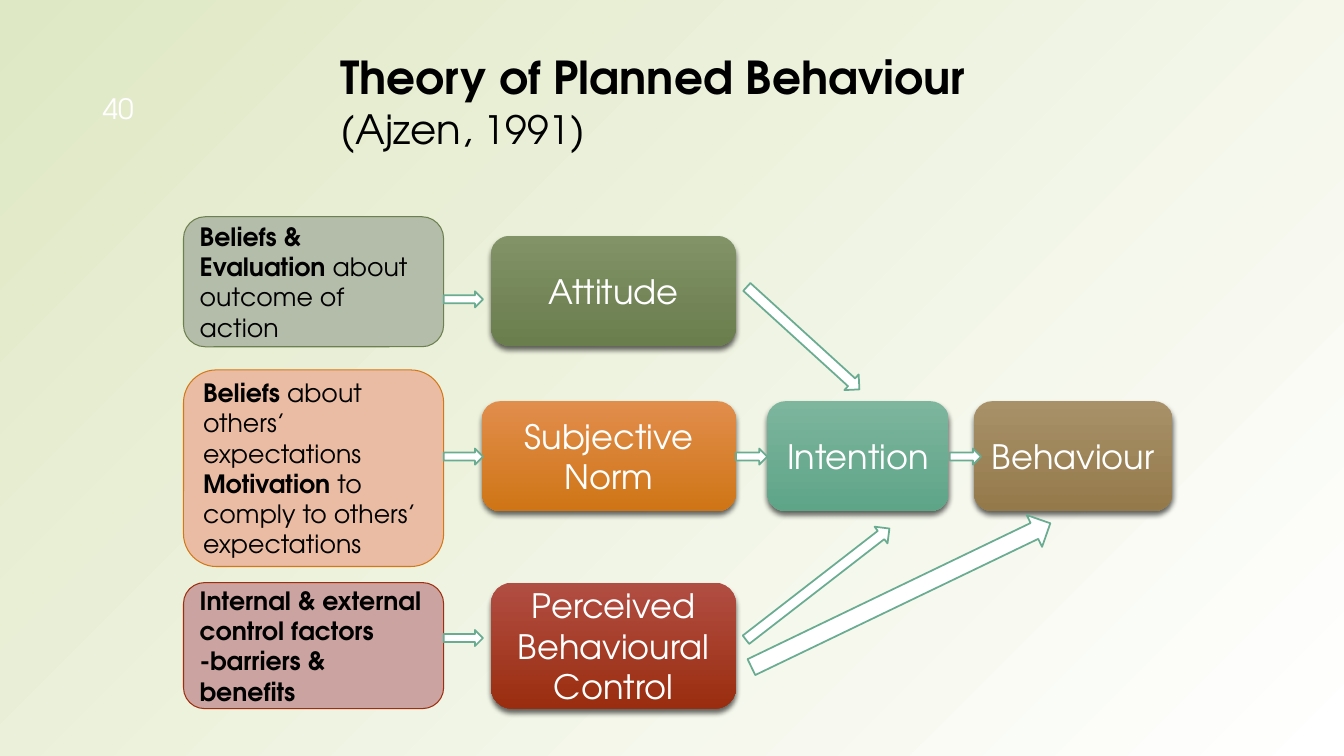
"""Draws the Theory of Planned Behaviour slide."""
from lxml import etree
from pptx import Presentation
from pptx.dml.color import RGBColor
from pptx.enum.shapes import MSO_SHAPE
from pptx.enum.text import MSO_ANCHOR, PP_ALIGN
from pptx.oxml import parse_xml
from pptx.util import Inches, Pt

ROUND = MSO_SHAPE.ROUNDED_RECTANGLE
ARROW = MSO_SHAPE.RIGHT_ARROW
MIDDLE = MSO_ANCHOR.MIDDLE
LEFT = PP_ALIGN.LEFT
CENTER = PP_ALIGN.CENTER
NS = "http://schemas.openxmlformats.org/drawingml/2006/main"


def color(text):
    return RGBColor.from_string(text)


class Board:
    font = "TeX Gyre Adventor"
    ink = "000000"
    pale = "FFFFFF"
    edge = "6AAC91"

    def __init__(self, slide):
        self.slide = slide

    def blend(self, fill, first, last):
        fill.gradient()
        for stop, tone in zip(fill.gradient_stops, (first, last)):
            stop.color.rgb = color(tone)

    def back(self, first, last):
        self.blend(self.slide.background.fill, first, last)
        grad = self.slide.element.xpath(".//p:bg//a:gradFill")[0]
        grad.replace(grad.find(f"{{{NS}}}lin"), parse_xml(
            f'<a:path xmlns:a="{NS}" path="circle">'
            '<a:fillToRect l="100000" t="100000" r="0" b="0"/></a:path>'))

    def words(self, shape, paras, tone, align):
        frame = shape.text_frame
        frame.word_wrap = True
        frame.vertical_anchor = MIDDLE
        for i, runs in enumerate(paras):
            para = frame.add_paragraph() if i else frame.paragraphs[0]
            para.alignment = align
            for text, size, bold in runs:
                if text == "\n":
                    para.add_line_break()
                    continue
                run = para.add_run()
                run.text = text
                run.font.name = self.font
                run.font.size = Pt(size)
                run.font.bold = bold
                run.font.color.rgb = color(tone)

    def label(self, area, runs, tone):
        box = self.slide.shapes.add_textbox(*map(Inches, area))
        self.words(box, [runs], tone, LEFT)

    def shape(self, kind, area):
        shape = self.slide.shapes.add_shape(kind, *map(Inches, area))
        shape.shadow.inherit = False
        return shape

    def paint(self, shape, fill, line, width):
        shape.fill.solid()
        shape.fill.fore_color.rgb = color(fill)
        shape.line.color.rgb = color(line)
        shape.line.width = Pt(width)

    def belief(self, top, height, fill, line, paras):
        shape = self.shape(ROUND, (1.82, top, 2.58, height))
        self.paint(shape, fill, line, 0.75)
        self.words(shape, paras, self.ink, LEFT)

    def factor(self, area, first, last, text):
        shape = self.shape(ROUND, area)
        self.blend(shape.fill, first, last)
        shape.fill.gradient_angle = 270
        shape.line.fill.background()
        glow = shape.element.spPr.find(f"{{{NS}}}effectLst")
        shade = etree.SubElement(glow, f"{{{NS}}}outerShdw", blurRad=str(Pt(4)),
                                 dist=str(Pt(3)), dir="5400000", rotWithShape="0")
        tone = etree.SubElement(shade, f"{{{NS}}}srgbClr", val=self.ink)
        etree.SubElement(tone, f"{{{NS}}}alpha", val="60000")
        self.words(shape, [[(text, 24, False)]], self.pale, CENTER)

    def arrow(self, area, turn=0):
        shape = self.shape(ARROW, area)
        self.paint(shape, self.pale, self.edge, 1.25)
        shape.rotation = turn


def main():
    deck = Presentation()
    deck.slide_width, deck.slide_height = Inches(13.33), Inches(7.5)
    board = Board(deck.slides.add_slide(deck.slide_layouts[6]))
    board.back("FFFFFF", "DFE8C4")
    board.label((3.28, 0.46, 7.95, 1.08), [
        ("Theory of Planned Behaviour", 32.4, True), ("\n", 0, False),
        ("(Ajzen, ", 28.8, False), ("1991", 27.9, False), (")", 28.8, False)],
        board.ink)
    board.label((0.92, 0.87, 0.8, 0.4), [("40", 20, False)], board.pale)

    beliefs = [
        (2.15, 1.29, "B4BCAA", "6D804F", [
            [("Beliefs & Evaluation", 18, True),
             (" about outcome of action", 18, False)]]),
        (3.67, 1.95, "EBBCA4", "D47817", [
            [("Beliefs", 18, True), (" about others’ expectations", 18, False)],
            [("Motivation ", 18, True),
             ("to comply to others’ expectations", 18, False)]]),
        (5.78, 1.25, "CBA3A0", "9E2E0F", [
            [("Internal & external control factors -barriers & benefits",
              18, True)]]),
    ]
    for item in beliefs:
        board.belief(*item)

    factors = [
        ((4.87, 2.34, 2.43, 1.09), "819367", "6A7D4D", "Attitude"),
        ((4.78, 3.98, 2.52, 1.09), "E18D4C", "CF7516", "Subjective Norm"),
        ((4.87, 5.78, 2.43, 1.25), "B14E43", "9A2D0F",
         "Perceived Behavioural Control"),
        ((7.61, 3.98, 1.8, 1.09), "7DB59D", "5EA588", "Intention"),
        ((9.66, 3.98, 1.97, 1.09), "A89068", "947A4B", "Behaviour"),
    ]
    for item in factors:
        board.factor(*item)

    for top in (2.89, 4.45, 6.25):
        board.arrow((4.4, top, 0.39, 0.16))
    for left in (7.3, 9.42):
        board.arrow((left, 4.45, 0.31, 0.16))
    board.arrow((7.21, 3.25, 1.51, 0.21), 42.3)
    board.arrow((7.21, 5.69, 1.8, 0.21), 322.2)
    board.arrow((7.29, 5.73, 3.29, 0.35), 334.3)
    deck.save("out.pptx")


if __name__ == "__main__":
    main()
